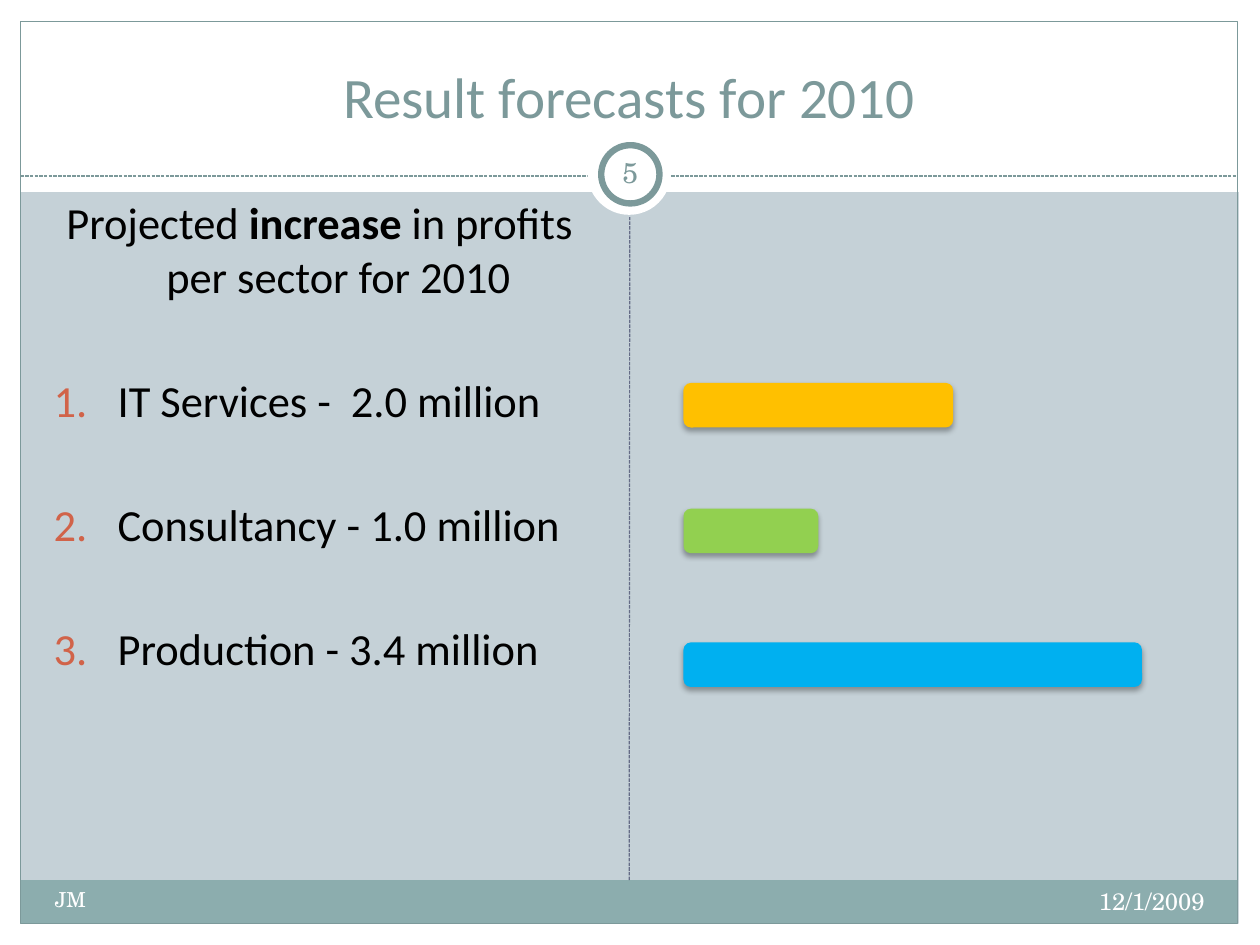
"""Build the slide with the 2010 result forecasts per sector."""
from lxml.etree import SubElement
from pptx import Presentation
from pptx.dml.color import RGBColor
from pptx.enum.dml import MSO_LINE
from pptx.enum.shapes import MSO_CONNECTOR as Connector, MSO_SHAPE as Shape
from pptx.enum.text import MSO_ANCHOR as Anchor, PP_ALIGN as Align
from pptx.oxml.ns import qn
from pptx.util import Inches, Pt

COLORS = {
    "background": "C5D1D7", "white": "FFFFFF", "footer": "8CADAE", "teal": "7C999A",
    "divider": "646B86", "text": "000000", "number": "D16349",
    "yellow": "FFC000", "green": "92D050", "blue": "00B0F0",
}
SANS, SERIF = "Calibri", "TeX Gyre Schola"
CM_PER_INCH = 2.54
WIDTH, HEIGHT = 28 / CM_PER_INCH, 21 / CM_PER_INCH
INCHES_PER_MILLION = 1.18
SECTORS = [
    ("IT Services -  2.0 million", 2.0, 3.35, "yellow"),
    ("Consultancy - 1.0 million", 1.0, 4.45, "green"),
    ("Production - 3.4 million", 3.4, 5.62, "blue"),
]


def color(name):
    return RGBColor.from_string(COLORS[name])


class ForecastSlide:
    def __init__(self, deck):
        self.slide = deck.slides.add_slide(deck.slide_layouts[6])
        self.slide.background.fill.solid()
        self.slide.background.fill.fore_color.rgb = color("background")

    def shape(self, kind, left, top, width, height, fill=None, line=None, weight=0.75):
        shape = self.slide.shapes.add_shape(
            kind, Inches(left), Inches(top), Inches(width), Inches(height))
        shape.shadow.inherit = False
        if fill:
            shape.fill.solid()
            shape.fill.fore_color.rgb = color(fill)
        else:
            shape.fill.background()
        if line:
            shape.line.color.rgb = color(line)
            shape.line.width = Pt(weight)
        else:
            shape.line.fill.background()
        return shape

    def bar(self, top, millions, fill):
        bar = self.shape(Shape.ROUNDED_RECTANGLE, 5.98, top,
                         millions * INCHES_PER_MILLION, 0.39, fill)
        effects = bar._element.spPr.find(qn("a:effectLst"))
        shadow = SubElement(effects, qn("a:outerShdw"), blurRad=str(Pt(3.5)),
                            dist=str(Pt(2.2)), dir="5400000", rotWithShape="0")
        shade = SubElement(shadow, qn("a:srgbClr"), val=COLORS["text"])
        SubElement(shade, qn("a:alpha"), val="32000")

    def dashed_line(self, start, end, line):
        points = [Inches(value) for value in (*start, *end)]
        connector = self.slide.shapes.add_connector(Connector.STRAIGHT, *points)
        connector.line.color.rgb = color(line)
        connector.line.width = Pt(0.75)
        connector.line.dash_style = MSO_LINE.SQUARE_DOT
        SubElement(connector._element.spPr, qn("a:effectLst"))
        return connector

    def style(self, span, size, font, ink):
        span.font.size = Pt(size)
        span.font.name = font
        span.font.color.rgb = color(ink)

    def text(self, left, top, width, height, words, size, font, ink,
             align=Align.LEFT, anchor=Anchor.TOP, side=0.11):
        box = self.slide.shapes.add_textbox(
            Inches(left), Inches(top), Inches(width), Inches(height))
        frame = box.text_frame
        frame.word_wrap = True
        frame.vertical_anchor = anchor
        frame.margin_left = frame.margin_right = Inches(side)
        frame.margin_top = frame.margin_bottom = Inches(0.06)
        frame.text = words
        para = frame.paragraphs[0]
        para.alignment = align
        for span in para.runs:
            self.style(span, size, font, ink)
        return frame

    def hang(self, para, indent):
        properties = para._p.get_or_add_pPr()
        properties.set("marL", str(Inches(indent)))
        properties.set("indent", str(-Inches(indent)))
        return properties

    def sector_list(self, labels):
        frame = self.text(0.36, 1.65, 4.87, 5.64, "Projected ", 28, SANS, "text", Align.CENTER)
        heading = frame.paragraphs[0]
        self.hang(heading, 0.33)
        for words, bold in (("increase", True), (" in profits per sector for 2010", False)):
            span = heading.add_run()
            span.text = words
            self.style(span, 28, SANS, "text")
            span.font.bold = bold
        for label in labels:
            para = frame.add_paragraph()
            para.text = label
            para.space_before = Pt(44.6)
            self.style(para.runs[0], 28, SANS, "text")
            properties = self.hang(para, 0.56)
            bullet_color = SubElement(properties, qn("a:buClr"))
            SubElement(bullet_color, qn("a:srgbClr"), val=COLORS["number"])
            SubElement(properties, qn("a:buFont"), typeface="+mj-lt")
            SubElement(properties, qn("a:buAutoNum"), type="arabicPeriod")


def main():
    deck = Presentation()
    deck.slide_width, deck.slide_height = Inches(WIDTH), Inches(HEIGHT)
    page = ForecastSlide(deck)

    for margin in ((0, 8.08, WIDTH, HEIGHT - 8.08), (0, 0, WIDTH, 1.68),
                   (0, 0, 0.18, HEIGHT), (10.84, 0, WIDTH - 10.84, HEIGHT)):
        page.shape(Shape.RECTANGLE, *margin, fill="white")
    footer = page.shape(Shape.RECTANGLE, 0.18, 7.7, 10.65, 0.38, "footer")
    page.shape(Shape.RECTANGLE, 0.18, 0.19, 10.65, 7.89, line="teal")
    page.dashed_line((0.18, 1.54), (10.83, 1.54), "teal")
    page.shape(Shape.OVAL, 5.14, 1.15, 0.73, 0.73, "white")
    page.shape(Shape.OVAL, 5.26, 1.27, 0.51, 0.51, "white", "teal", 4)
    divider = page.dashed_line((5.5, 7.7), (5.51, 1.9), "divider")
    divider.begin_connect(footer, 0)

    page.text(0.36, 0.29, 10.29, 0.91, "Result forecasts for 2010", 36, SANS, "teal",
              Align.CENTER, Anchor.BOTTOM)
    page.text(6.98, 7.7, 3.67, 0.44, "12/1/2009", 15, SERIF, "white", Align.RIGHT)
    page.text(0.37, 7.7, 4.32, 0.44, "JM", 13, SERIF, "white")
    page.text(5.24, 1.24, 0.55, 0.53, "5", 18, SERIF, "teal",
              Align.CENTER, Anchor.MIDDLE, 0.06)

    page.sector_list([label for label, *_ in SECTORS])
    for _, millions, top, fill in SECTORS:
        page.bar(top, millions, fill)
    deck.save("out.pptx")


if __name__ == "__main__":
    main()
